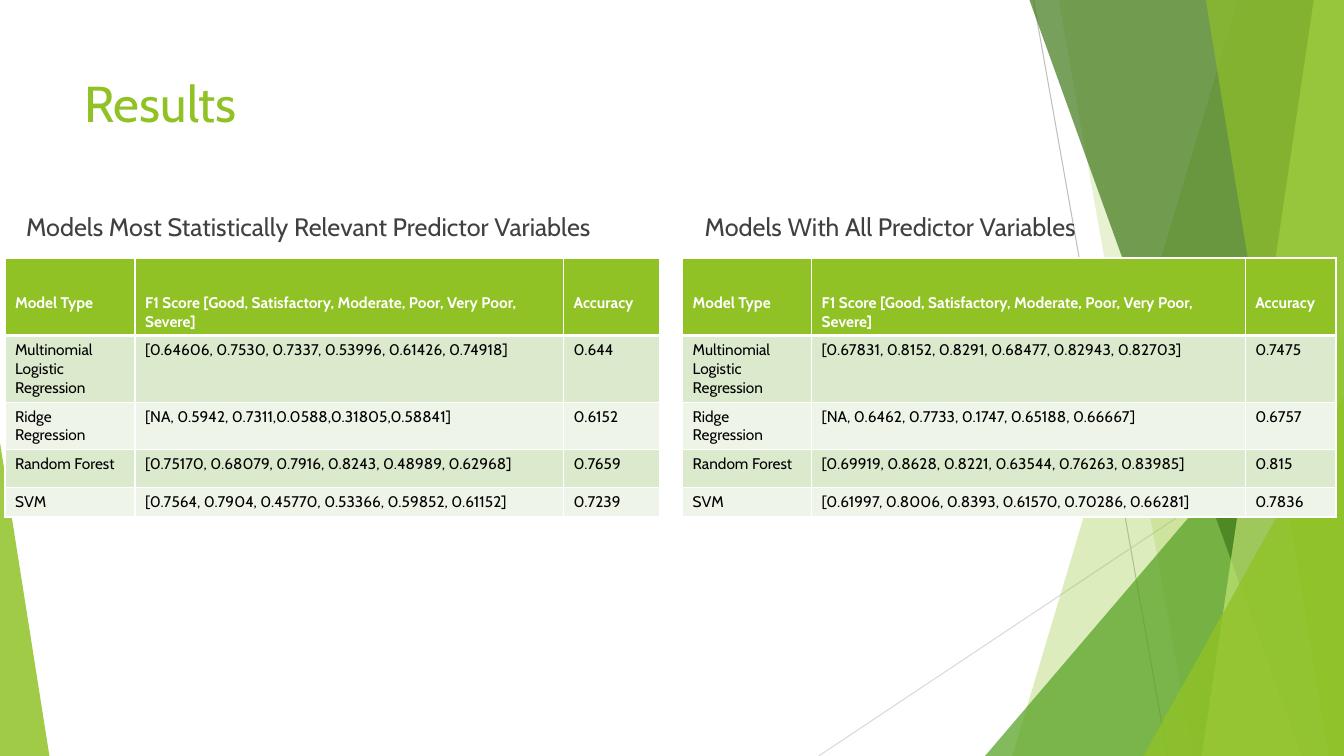
from lxml import etree
from pptx import Presentation, util as u
from pptx.dml.color import RGBColor
from pptx.enum import shapes, text
from pptx.oxml.ns import qn

WIDTH, HEIGHT = 13.33, 7.5
FONT = "Cabin"
COLORS = {
    "green": "90C226", "leaf": "54A021", "forest": "3F7819", "lime": "C0E474",
    "gray": "BFBFBF", "light gray": "D9D9D9", "dark gray": "404040",
    "band": "DBE9CD", "pale band": "EEF4E8", "white": "FFFFFF", "black": "000000",
}

TITLE = "Results"
HEADER = ("Model Type",
          "F1 Score [Good, Satisfactory, Moderate, Poor, Very Poor, Severe]",
          "Accuracy")
MODELS = ("Multinomial Logistic Regression", "Ridge Regression", "Random Forest", "SVM")
PANELS = [
    {"heading": "Models Most Statistically Relevant Predictor Variables",
     "heading_left": 0.16, "heading_width": 6.35,
     "left": 0.05, "columns": (1.29, 4.25, 0.95),
     "scores": [
         ("[0.64606, 0.7530, 0.7337, 0.53996, 0.61426, 0.74918]", "0.644"),
         ("[NA, 0.5942, 0.7311,0.0588,0.31805,0.58841]", "0.6152"),
         ("[0.75170, 0.68079, 0.7916, 0.8243, 0.48989, 0.62968]", "0.7659"),
         ("[0.7564, 0.7904, 0.45770, 0.53366, 0.59852, 0.61152]", "0.7239")]},
    {"heading": "Models With All Predictor Variables",
     "heading_left": 6.89, "heading_width": 5.58,
     "left": 6.77, "columns": (1.28, 4.3, 0.9),
     "scores": [
         ("[0.67831, 0.8152, 0.8291, 0.68477, 0.82943, 0.82703]", "0.7475"),
         ("[NA, 0.6462, 0.7733, 0.1747, 0.65188, 0.66667]", "0.6757"),
         ("[0.69919, 0.8628, 0.8221, 0.63544, 0.76263, 0.83985]", "0.815"),
         ("[0.61997, 0.8006, 0.8393, 0.61570, 0.70286, 0.66281]", "0.7836")]},
]
TABLE_TOP, HEADING_TOP = 2.56, 2.05
ROW_HEIGHTS = (0.77, 0.66, 0.47, 0.38, 0.29)

LINES = [((10.25, 0), (11.58, HEIGHT), "gray"),
         ((WIDTH, 4.03), (8.12, HEIGHT), "light gray")]
# Blades reach the right edge: top-left x, bottom-left x, colour, opacity in percent.
# Triangles stand on the bottom edge: left, top, width, apex share, colour, opacity.
DECORATION = [
    ("blade", (12.28, 10.04), "green", 30),
    ("blade", (10.5, 11.83), "green", 20),
    ("triangle", (9.77, 3.33, 3.56, 1), "leaf", 72),
    ("blade", (10.21, 12.91), "forest", 70),
    ("blade", (13.03, 11.92), "lime", 70),
    ("blade", (11.96, 13.18), "green", 65),
    ("triangle", (11.34, 3.93, 1.99, 1), "green", 80),
    ("triangle", (0, 4.39, 0.49, 0), "green", 85),
]


def rgb(name):
    return RGBColor.from_string(COLORS[name])


def add_line(page, start, end, color):
    line = page.shapes.add_connector(shapes.MSO_CONNECTOR.STRAIGHT,
                                     *map(u.Inches, start + end))
    line.line.color.rgb = rgb(color)
    line.line.width = u.Pt(0.75)
    etree.SubElement(line.element.spPr, qn("a:effectLst"))


def add_blade(page, top_x, bottom_x):
    corners = [(top_x, 0), (WIDTH, 0), (WIDTH, HEIGHT), (bottom_x, HEIGHT)]
    points = [(u.Inches(x), u.Inches(y)) for x, y in corners]
    builder = page.shapes.build_freeform(*points[0])
    builder.add_line_segments(points[1:], close=True)
    return builder.convert_to_shape()


def add_triangle(page, left, top, width, apex):
    triangle = page.shapes.add_shape(
        shapes.MSO_SHAPE.ISOSCELES_TRIANGLE,
        *map(u.Inches, (left, top, width, HEIGHT - top)))
    triangle.adjustments[0] = apex
    return triangle


def paint(shape, color, opacity):
    shape.shadow.inherit = False
    shape.line.fill.background()
    shape.fill.solid()
    shape.fill.fore_color.rgb = rgb(color)
    tint = shape.element.spPr.find(qn("a:solidFill"))[0]
    etree.SubElement(tint, qn("a:alpha"), val=str(opacity * 1000))


def write(frame, words, size, color, bold=False):
    frame.word_wrap = True
    span = frame.paragraphs[0].add_run()
    span.text = words
    span.font.name, span.font.size, span.font.bold = FONT, u.Pt(size), bold
    span.font.color.rgb = rgb(color)


def add_text(page, place, words, size, color):
    box = page.shapes.add_textbox(*map(u.Inches, place))
    box.text_frame.vertical_anchor = text.MSO_ANCHOR.TOP
    write(box.text_frame, words, size, color)


def add_borders(cell, row):
    """White rules, with a thick one between the header and the body."""
    widths = {"L": 1, "R": 1, "T": 3 if row == 1 else 1, "B": 3 if row == 0 else 1}
    properties = cell._tc.get_or_add_tcPr()
    for position, (side, width) in enumerate(widths.items()):
        rule = etree.Element(qn("a:ln" + side), w=str(u.Pt(width)))
        fill = etree.SubElement(rule, qn("a:solidFill"))
        etree.SubElement(fill, qn("a:srgbClr"), val=COLORS["white"])
        properties.insert(position, rule)


def add_panel(page, panel):
    add_text(page, (panel["heading_left"], HEADING_TOP, panel["heading_width"], 0.4),
             panel["heading"], 18, "dark gray")
    rows = [HEADER] + [(model, *score) for model, score in zip(MODELS, panel["scores"])]
    place = panel["left"], TABLE_TOP, sum(panel["columns"]), sum(ROW_HEIGHTS)
    table = page.shapes.add_table(len(rows), len(HEADER), *map(u.Inches, place)).table
    for column, width in zip(table.columns, panel["columns"]):
        column.width = u.Inches(width)
    for r, (row, height) in enumerate(zip(rows, ROW_HEIGHTS)):
        table.rows[r].height = u.Inches(height)
        fill = "green" if r == 0 else "band" if r % 2 else "pale band"
        for c, words in enumerate(row):
            cell = table.cell(r, c)
            cell.margin_top = u.Inches(0.05 if r else 0.35)
            cell.fill.solid()
            cell.fill.fore_color.rgb = rgb(fill)
            add_borders(cell, r)
            write(cell.text_frame, words, 11, "black" if r else "white", bold=r == 0)


def main():
    deck = Presentation()
    deck.slide_width, deck.slide_height = u.Inches(WIDTH), u.Inches(HEIGHT)
    page = deck.slides.add_slide(deck.slide_layouts[6])
    for start, end, color in LINES:
        add_line(page, start, end, color)
    makers = {"blade": add_blade, "triangle": add_triangle}
    for kind, geometry, color, opacity in DECORATION:
        paint(makers[kind](page, *geometry), color, opacity)
    add_text(page, (0.74, 0.67, 9.4, 1.44), TITLE, 36, "green")
    for panel in PANELS:
        add_panel(page, panel)
    deck.save("out.pptx")


if __name__ == "__main__":
    main()
